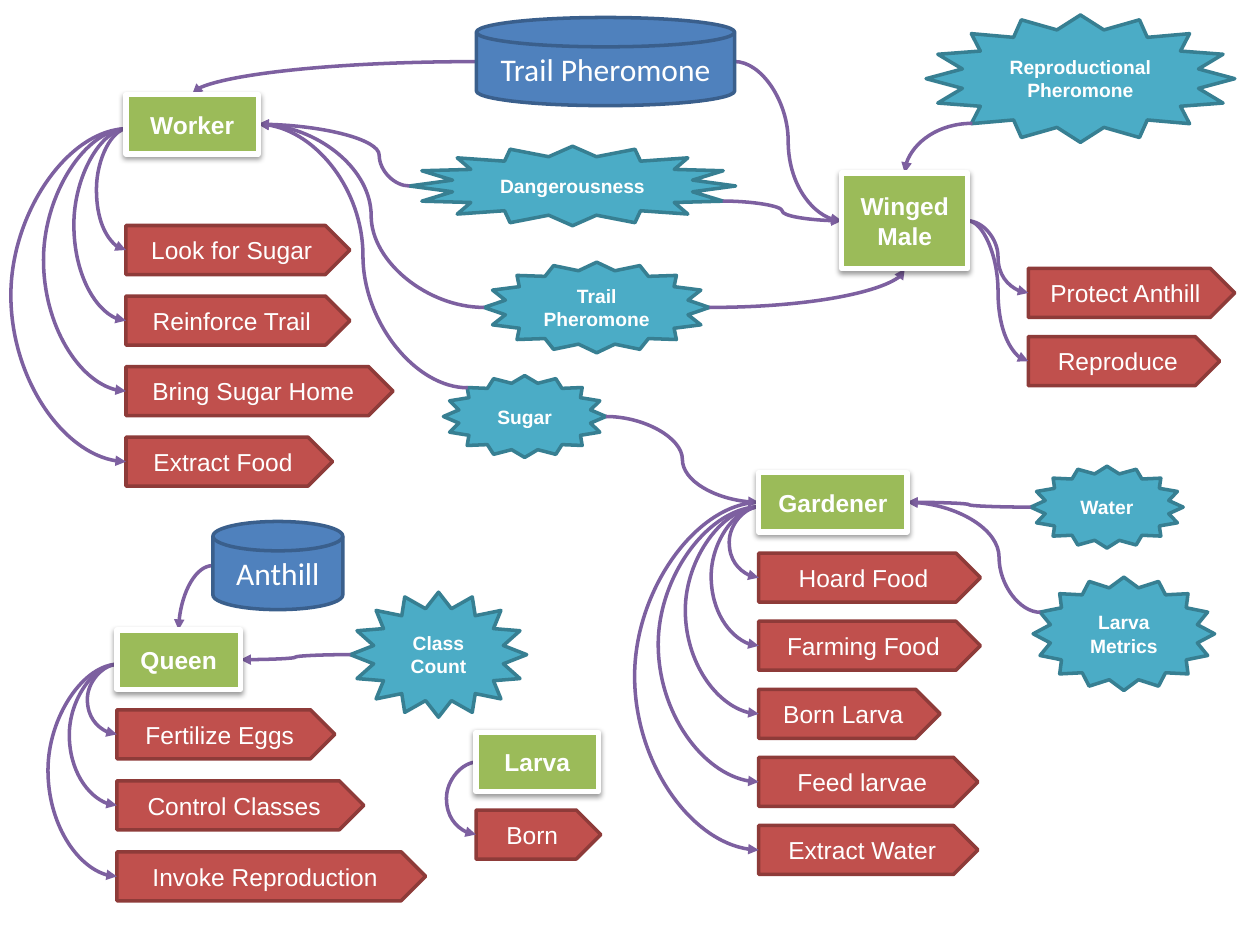
from dataclasses import dataclass

from lxml import etree
from pptx import Presentation
from pptx.dml.color import RGBColor
from pptx.enum import shapes, text
from pptx.oxml import parse_xml
from pptx.oxml import ns
from pptx.util import Pt


@dataclass(frozen=True)
class Theme:
    caste: tuple = ("9BBB59", "FFFFFF", 3)
    action: tuple = ("C0504D", "8E3B39", 2)
    stimulus: tuple = ("4BACC6", "377F92", 2)
    store: tuple = ("4F81BD", "3A5F8C", 2)
    link: str = "7D60A0"
    ink: str = "FFFFFF"
    sans: str = "Arial"
    store_font: str = "Calibri"
    label: int = 14
    small: int = 11
    large: int = 18


@dataclass(frozen=True)
class Action:
    label: str
    width: float
    bend: float = 0.5
    drop: float = 2.5


T = Theme()
KIND = shapes.MSO_SHAPE
ACTION_HEIGHT = 28

CASTES = {
    "Worker": (72, 54, 75.6, 34),
    "Winged Male": (481, 98.8, 72, 54.8),
    "Gardener": (433.6, 270, 84.8, 34),
    "Queen": (66.8, 360, 70.6, 34),
    "Larva": (272, 418.4, 70, 34),
}

STIMULI = {
    "Reproductional Pheromone": (529.2, 8.6, 176.4, 72.8),
    "Dangerousness": (234, 83.6, 186.4, 45.4),
    "Trail Pheromone": (276.6, 149.8, 128.8, 51.8),
    "Sugar": (253.4, 214.6, 92.9, 46.8),
    "Larva\nMetrics": (590.4, 329.8, 103.7, 64.8),
    "Water": (589, 266.4, 87.1, 46.8),
    "Class Count": (200.2, 338.4, 100.8, 71.4),
}
STAR_DEPTH = {"Reproductional Pheromone": 0.39, "Dangerousness": 0.375, "Class Count": 0.375}

STORES = {
    "Trail Pheromone": (272.2, 10, 147.6, 50.4),
    "Anthill": (121.7, 298, 74.2, 50.4),
}

ACTIONS = {
    "Worker": ((0, 74.9), 40.3, [
        Action("Look for Sugar", 128, 18),
        Action("Reinforce Trail", 128, 31),
        Action("Bring Sugar Home", 152.6, 48.5),
        Action("Extract Food", 118, 67.3)]),
    "Winged Male": ((106.6, 54.6), 39, [
        Action("Protect Anthill", 118, drop=0),
        Action("Reproduce", 109.4, drop=0)]),
    "Gardener": ((0, 46.1), 38.9, [
        Action("Hoard Food", 126.7, 18),
        Action("Farming Food", 126.7, 28.4),
        Action("Born Larva", 103.7, 43.3),
        Action("Feed larvae", 125.3, 58.9),
        Action("Extract Water", 125.3, 72.5, 0)]),
    "Queen": ((0, 45.6), 40.6, [
        Action("Fertilize Eggs", 124.6, 18),
        Action("Control Classes", 141.1, 28.4),
        Action("Invoke Reproduction", 176.4, 40.7)]),
    "Larva": ((0, 44.5), 40.6, [Action("Born", 71.3, 18, 0)]),
}

LEFT, RIGHT, TOP, BOTTOM = (0, 0.5), (1, 0.5), (0.5, 0), (0.5, 1)
LINKS = [
    (STIMULI["Dangerousness"], LEFT, CASTES["Worker"], RIGHT, 0.2),
    (STIMULI["Trail Pheromone"], LEFT, CASTES["Worker"], RIGHT, 0.5),
    (STIMULI["Sugar"], (0.15, 0.15), CASTES["Worker"], RIGHT, 0.5),
    (STIMULI["Reproductional Pheromone"], (0.15, 0.85), CASTES["Winged Male"], TOP, None),
    (STIMULI["Water"], LEFT, CASTES["Gardener"], RIGHT, 0.5),
    (STIMULI["Larva\nMetrics"], (0.04, 0.31), CASTES["Gardener"], RIGHT, 0.31),
    (STIMULI["Class Count"], LEFT, CASTES["Queen"], RIGHT, 0.5),
    (STIMULI["Sugar"], RIGHT, CASTES["Gardener"], LEFT, 0.5),
    (STORES["Trail Pheromone"], LEFT, CASTES["Worker"], TOP, None),
    (STORES["Trail Pheromone"], RIGHT, CASTES["Winged Male"], LEFT, 0.5),
    (STIMULI["Trail Pheromone"], RIGHT, CASTES["Winged Male"], BOTTOM, None),
    (STIMULI["Dangerousness"], (0.96, 0.69), CASTES["Winged Male"], LEFT, 0.5),
    (STORES["Anthill"], LEFT, CASTES["Queen"], TOP, None),
]


def anchor(box, site):
    x, y, w, h = box
    return x + w * site[0], y + h * site[1]


def write(sp, label, size, font=T.sans, bold=False):
    tf = sp.text_frame
    tf.word_wrap = True
    tf.vertical_anchor = text.MSO_ANCHOR.MIDDLE
    tf.text = label
    for p in tf.paragraphs:
        p.alignment = text.PP_ALIGN.CENTER
        for r in p.runs:
            r.font.size, r.font.name, r.font.bold = Pt(size), font, bold
            r.font.color.rgb = RGBColor.from_string(T.ink)


def add_node(slide, kind, box, style, label, **fmt):
    fill, line, width = style
    sp = slide.shapes.add_shape(kind, *map(Pt, box))
    sp.shadow.inherit = False
    sp.fill.solid()
    sp.fill.fore_color.rgb = RGBColor.from_string(fill)
    sp.line.color.rgb = RGBColor.from_string(line)
    sp.line.width = Pt(width)
    write(sp, label, **fmt)
    return sp


def add_link(slide, start, end, bend):
    cx = slide.shapes.add_connector(shapes.MSO_CONNECTOR.CURVE, *map(Pt, start + end))
    cx.line.color.rgb = RGBColor.from_string(T.link)
    cx.line.width = Pt(2)
    sp_pr = cx._element.spPr
    etree.SubElement(sp_pr.find(ns.qn("a:ln")), ns.qn("a:tailEnd"), type="triangle")
    etree.SubElement(sp_pr, ns.qn("a:effectLst"))
    geom = sp_pr.find(ns.qn("a:prstGeom"))
    if bend is None:
        geom.set("prst", "curvedConnector2")
    else:
        etree.SubElement(geom.find(ns.qn("a:avLst")), ns.qn("a:gd"),
                         name="adj1", fmla=f"val {round(bend * 100000)}")


def add_stimulus(slide, box, label):
    sp = add_node(slide, KIND.STAR_16_POINT, box, T.stimulus, label, size=T.small, bold=True)
    sp.adjustments[0] = STAR_DEPTH.get(label, 0.413)


def add_store(slide, box, label):
    add_node(slide, KIND.FLOWCHART_MAGNETIC_DISK, box, T.store, label,
             size=T.large, font=T.store_font)


def add_caste(slide, box, label, offset, pitch, actions):
    x, y = box[0] + offset[0], box[1] + offset[1]
    for i, action in enumerate(actions):
        bar = (x, y + i * pitch, action.width, ACTION_HEIGHT)
        add_node(slide, KIND.PENTAGON, bar, T.action, action.label, size=T.label)
        sx, sy = anchor(box, RIGHT if offset[0] else LEFT)
        start = (sx if offset[0] else sx + 1, sy + action.drop)
        add_link(slide, start, anchor(bar, LEFT), action.bend)
    sp = add_node(slide, KIND.RECTANGLE, box, T.caste, label, size=T.label, bold=True)
    sp._element.spPr.find(ns.qn("a:effectLst")).append(parse_xml(
        f'<a:outerShdw {ns.nsdecls("a")} blurRad="{Pt(3.1)}" dist="{Pt(1.6)}" dir="5400000" '
        'rotWithShape="0"><a:srgbClr val="000000"><a:alpha val="38000"/></a:srgbClr>'
        '</a:outerShdw>'))


def build_ant_diagram(prs):
    slide = prs.slides.add_slide(prs.slide_layouts[6])
    for label, box in STIMULI.items():
        add_stimulus(slide, box, label)
    for source, out, target, into, bend in LINKS:
        add_link(slide, anchor(source, out), anchor(target, into), bend)
    for label, box in STORES.items():
        add_store(slide, box, label)
    for label, box in CASTES.items():
        add_caste(slide, box, label, *ACTIONS[label])


prs = Presentation()
prs.slide_width, prs.slide_height = Pt(720), Pt(540)
build_ant_diagram(prs)
prs.save("out.pptx")
